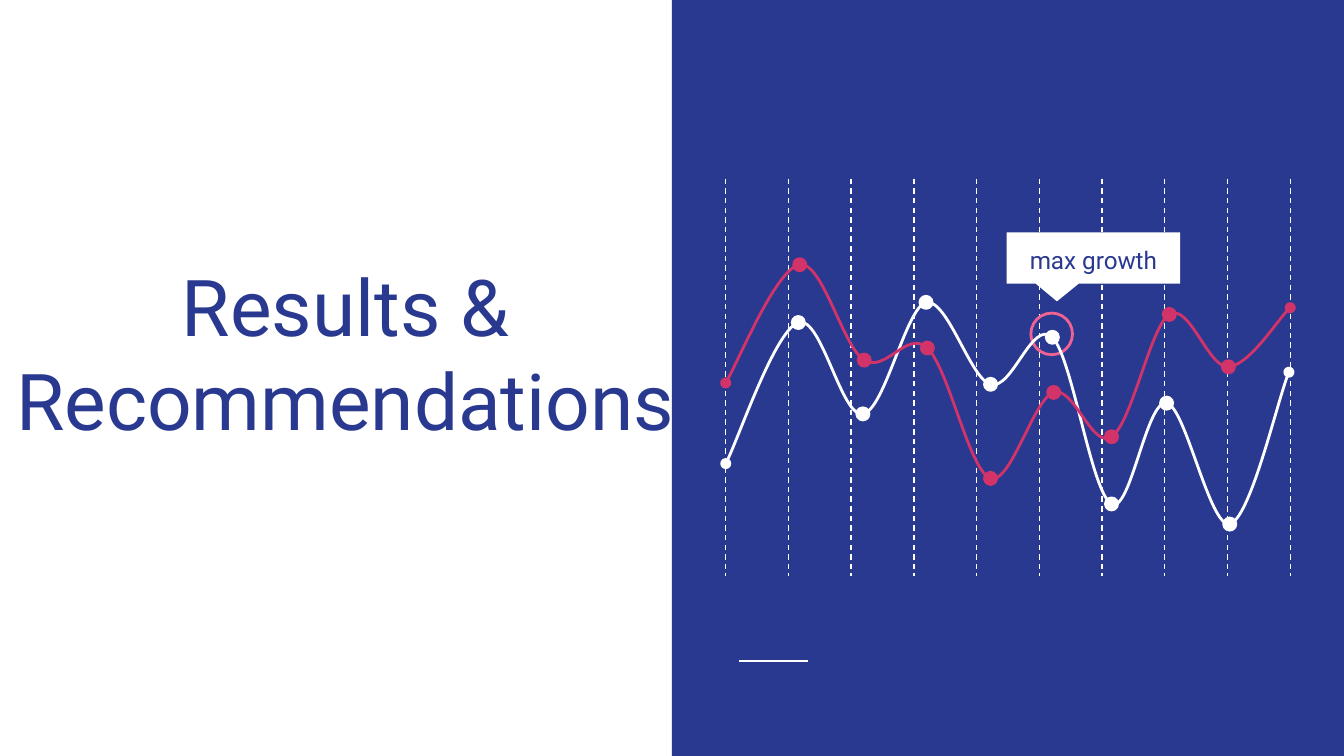
from lxml import etree
from pptx import Presentation
from pptx import util as u
from pptx.dml.color import RGBColor
from pptx.enum import dml, shapes, text
from pptx.oxml import ns

COLORS = {"blue": "2A3990", "white": "FFFFFF", "red": "D23369", "pink": "F06292"}
TITLE = "Results & Recommendations"
CALLOUT = "max growth"

CURVES = {
    "white": [
        (5.4, 3.45),
        (5.49, 3.28), (5.77, 2.46), (5.94, 2.4),
        (6.11, 2.34), (6.26, 3.11), (6.42, 3.08),
        (6.58, 3.06), (6.74, 2.29), (6.89, 2.25),
        (7.05, 2.22), (7.22, 2.82), (7.37, 2.86),
        (7.53, 2.91), (7.68, 2.37), (7.83, 2.51),
        (7.98, 2.66), (8.12, 3.67), (8.27, 3.75),
        (8.41, 3.83), (8.53, 2.97), (8.68, 3),
        (8.82, 3.02), (9, 3.93), (9.15, 3.9),
        (9.3, 3.86), (9.51, 2.96), (9.59, 2.77),
    ],
    "red": [
        (5.4, 2.85),
        (5.49, 2.7), (5.78, 2), (5.95, 1.97),
        (6.12, 1.94), (6.27, 2.58), (6.43, 2.68),
        (6.59, 2.78), (6.75, 2.45), (6.9, 2.59),
        (7.06, 2.74), (7.21, 3.5), (7.37, 3.56),
        (7.52, 3.61), (7.69, 2.97), (7.84, 2.92),
        (7.99, 2.87), (8.13, 3.35), (8.27, 3.25),
        (8.42, 3.16), (8.56, 2.43), (8.7, 2.34),
        (8.85, 2.25), (8.99, 2.74), (9.14, 2.73),
        (9.29, 2.72), (9.52, 2.36), (9.6, 2.29),
    ],
}
GRID = {"left": 5.4, "right": 9.6, "top": 1.33, "bottom": 4.29, "count": 10}
DOT = 0.09


def lengths(*inches):
    return [u.Cm(value * 2.54) for value in inches]


def color(name):
    return RGBColor.from_string(COLORS[name])


def apply(target, values):
    for name, value in values.items():
        setattr(target, name, value)


def paint(shape, fill=None, line=None):
    shape.shadow.inherit = False
    if fill:
        shape.fill.solid()
        shape.fill.fore_color.rgb = color(fill)
    else:
        shape.fill.background()
    if line:
        shape.line.color.rgb = color(line)
        shape.line.width = u.Pt(1.5)
    else:
        shape.line.fill.background()


def add_shape(collection, kind, box, fill=None, line=None):
    shape = collection.add_shape(kind, *lengths(*box))
    paint(shape, fill, line)
    return shape


def add_line(collection, ends, width, dash=None):
    line = collection.add_connector(shapes.MSO_CONNECTOR.STRAIGHT, *lengths(*ends))
    line.line.color.rgb = color("white")
    apply(line.line, {"width": u.Pt(width), "dash_style": dash})
    etree.SubElement(line._element.spPr, ns.qn("a:effectLst"))


def add_curve(collection, points, name):
    start, *others = [lengths(*point) for point in points]
    builder = collection.build_freeform(*start)
    builder.add_line_segments(others, close=False)
    curve = builder.convert_to_shape()
    paint(curve, line=name)
    segments = list(curve._element.iter(ns.qn("a:lnTo")))
    for index in range(0, len(segments), 3):
        first, *rest = segments[index:index + 3]
        first.tag = ns.qn("a:cubicBezTo")
        for segment in rest:
            first.append(segment[0])
            segment.getparent().remove(segment)
    outline = curve._element.spPr.find(ns.qn("a:ln"))
    for end in ("a:headEnd", "a:tailEnd"):
        etree.SubElement(outline, ns.qn(end), type="oval")
    for x, y in points[3:-1:3]:
        box = (x - DOT / 2, y - DOT / 2, DOT, DOT)
        add_shape(collection, shapes.MSO_SHAPE.OVAL, box, name, name)


def write(shape, box, content, size, anchor, spacing):
    apply(shape, dict(zip(("left", "top", "width", "height"), lengths(*box))))
    frame = shape.text_frame
    margins = dict.fromkeys(
        ("margin_left", "margin_top", "margin_right", "margin_bottom"), u.Cm(0.25))
    apply(frame, {"text": content, "word_wrap": True, "vertical_anchor": anchor,
                  "auto_size": text.MSO_AUTO_SIZE.NONE, **margins})
    paragraph = frame.paragraphs[0]
    apply(paragraph, {"alignment": text.PP_ALIGN.CENTER, "line_spacing": spacing,
                      "space_before": u.Pt(0)})
    apply(paragraph.font, {"name": "Roboto", "size": u.Pt(size)})
    paragraph.font.color.rgb = color("blue")
    return paragraph


def main():
    presentation = Presentation()
    apply(presentation, {"slide_width": u.Cm(25.4), "slide_height": u.Cm(14.29)})
    slide = presentation.slides.add_slide(presentation.slide_layouts[1])
    title, body = slide.placeholders
    canvas = slide.shapes

    add_shape(canvas, shapes.MSO_SHAPE.RECTANGLE, (5, 0, 5, 5.625), "blue")
    add_line(canvas, (5.5, 4.92, 6.01, 4.92), 1.5)

    grid = canvas.add_group_shape().shapes
    step = (GRID["right"] - GRID["left"]) / (GRID["count"] - 1)
    for index in range(GRID["count"]):
        x = GRID["left"] + index * step
        add_line(grid, (x, GRID["top"], x, GRID["bottom"]), 0.75,
                 dml.MSO_LINE.DASH)

    add_shape(canvas, shapes.MSO_SHAPE.OVAL, (7.67, 2.33, 0.31, 0.31), line="pink")
    add_curve(canvas.add_group_shape().shapes, CURVES["white"], "white")
    callout = add_shape(canvas, shapes.MSO_SHAPE.ROUNDED_RECTANGULAR_CALLOUT,
                        (7.49, 1.73, 1.29, 0.38), "white")
    for index, value in enumerate((-0.21, 0.85, 0)):
        callout.adjustments[index] = value
    add_curve(canvas.add_group_shape().shapes, CURVES["red"], "red")

    write(title, (-0.19, 1.18, 5.52, 2.24), TITLE, 42, text.MSO_ANCHOR.BOTTOM, 1.0)
    label = write(body, (7.49, 1.76, 1.29, 0.31), CALLOUT, 13,
                  text.MSO_ANCHOR.MIDDLE, 1.15)
    properties = label._p.get_or_add_pPr()
    properties.set("marL", "0")
    properties.set("indent", "0")
    etree.SubElement(properties, ns.qn("a:buNone"))
    properties.append(properties.find(ns.qn("a:defRPr")))
    for placeholder in (title, body):
        canvas._spTree.append(placeholder._element)

    presentation.save("out.pptx")


if __name__ == "__main__":
    main()
